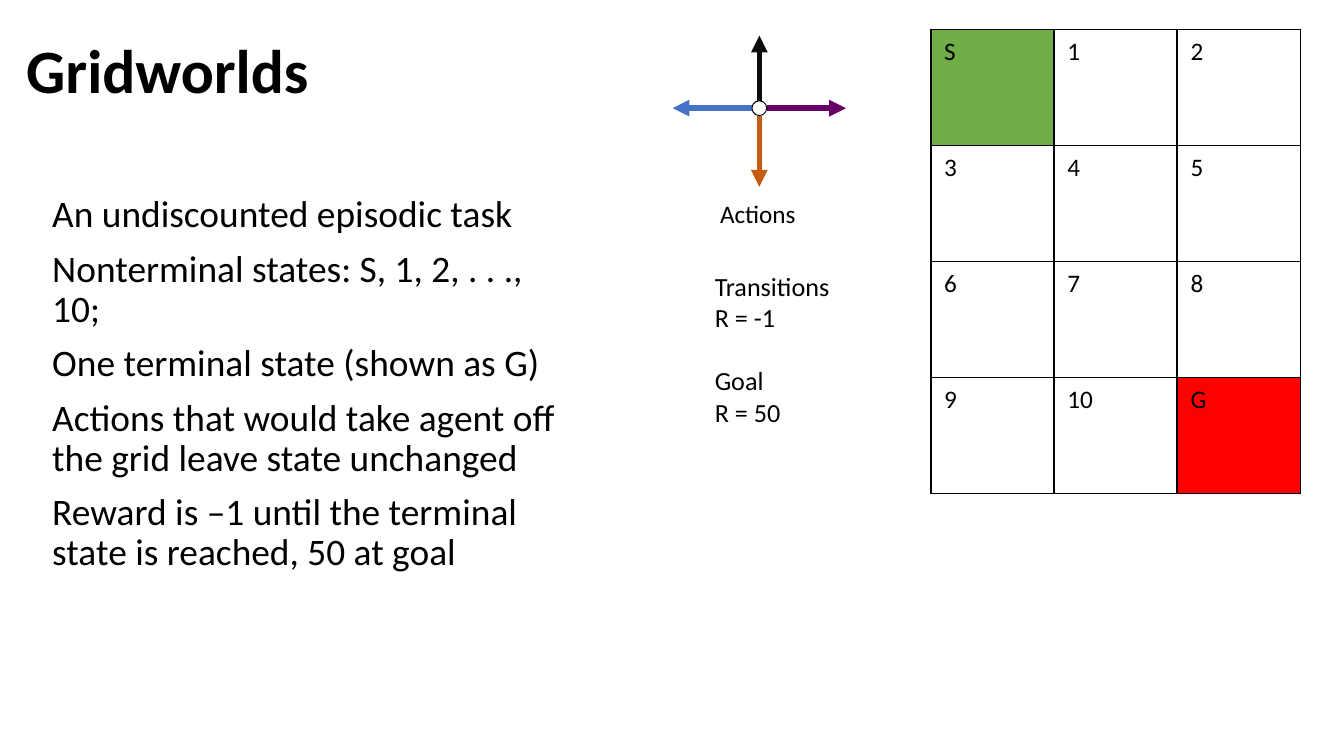
"""Build a slide on gridworlds: the task, its actions, its rewards and its states."""
import pptx
import pptx.dml.color
import pptx.enum.shapes
import pptx.enum.text
import pptx.oxml
import pptx.oxml.ns
import pptx.util

COLOURS = {
    "ink": "000000", "paper": "FFFFFF", "start": "70AD47", "goal": "FF0000",
    "left": "4472C4", "up": "0D0D0D", "right": "660066", "down": "C55A11",
}
FONT = "Calibri"

TITLE = ["Gridworlds"]
TASK = [
    "An undiscounted episodic task",
    "Nonterminal states: S, 1, 2, . . ., 10;",
    "One terminal state (shown as G)",
    "Actions that would take agent off the grid leave state unchanged",
    "Reward is –1 until the terminal state is reached, 50 at goal",
]
REWARDS = ["Transitions", "R = -1", "Goal", "R = 50"]
ACTIONS = ["Actions"]
STATES = [["S", "1", "2"], ["3", "4", "5"], ["6", "7", "8"], ["9", "10", "G"]]
STATE_FILLS = {"S": "start", "G": "goal"}
MOVES = [("left", -1, 0, 6.45), ("up", 0, -1, 5.4), ("right", 1, 0, 6.45), ("down", 0, 1, 5.85)]

WIDTH = pptx.util.Inches(10)
HEIGHT = WIDTH * 9 // 16
COLUMNS = 100
UNIT = WIDTH / COLUMNS
AGENT = (56.5, 8.05)
AGENT_RADIUS = 0.55
STATE_GRID = (69.25, 2.2)
STATE_SIZE = (9.17, 8.63)


def grid(*steps):
    return [round(step * UNIT) for step in steps]


def colour(name):
    return pptx.dml.color.RGBColor.from_string(COLOURS[name])


def write(frame, lines, size, bold=False, spacing=None, gap=0, gaps=None, wrap=True):
    frame.word_wrap = wrap
    frame.auto_size = pptx.enum.text.MSO_AUTO_SIZE.NONE
    for index, line in enumerate(lines):
        paragraph = frame.paragraphs[0] if index == 0 else frame.add_paragraph()
        paragraph.alignment = pptx.enum.text.PP_ALIGN.LEFT
        paragraph.line_spacing = spacing
        before = (gaps or {}).get(index, gap)
        paragraph.space_before = pptx.util.Pt(before if index else 0)
        run = paragraph.add_run()
        run.text = line
        run.font.name, run.font.size, run.font.bold = FONT, pptx.util.Pt(size), bold
        run.font.color.rgb = colour("ink")


def add_text(slide, place, lines, size, **style):
    write(slide.shapes.add_textbox(*grid(*place)).text_frame, lines, size, **style)


def add_title(slide):
    title = slide.shapes.title
    title.left, title.top, title.width, title.height = grid(0, 0, 86.2, 10.9)
    title.text_frame.margin_left = grid(1.95)[0]
    title.text_frame.vertical_anchor = pptx.enum.text.MSO_ANCHOR.MIDDLE
    write(title.text_frame, TITLE, 33, bold=True, spacing=0.9)


def add_border(cell):
    properties = cell._tc.get_or_add_tcPr()
    for position, side in enumerate(("lnL", "lnR", "lnT", "lnB")):
        properties.insert(position, pptx.oxml.parse_xml(
            f'<a:{side} {pptx.oxml.ns.nsdecls("a")} w="12700"><a:solidFill>'
            f'<a:srgbClr val="{COLOURS["ink"]}"/></a:solidFill></a:{side}>'))


def add_states(slide):
    rows, columns = len(STATES), len(STATES[0])
    size = (STATE_SIZE[0] * columns, STATE_SIZE[1] * rows)
    table = slide.shapes.add_table(rows, columns, *grid(*STATE_GRID, *size)).table
    table.first_row = table.horz_banding = False
    for column in table.columns:
        column.width = grid(STATE_SIZE[0])[0]
    for row, states in zip(table.rows, STATES):
        row.height = grid(STATE_SIZE[1])[0]
        for cell, state in zip(row.cells, states):
            cell.fill.solid()
            cell.fill.fore_color.rgb = colour(STATE_FILLS.get(state, "paper"))
            add_border(cell)
            write(cell.text_frame, [state], 13.5)


def add_moves(slide):
    x, y = AGENT
    for name, across, down, reach in MOVES:
        begin = (x + across * AGENT_RADIUS, y + down * AGENT_RADIUS)
        end = (x + across * reach, y + down * reach)
        arrow = slide.shapes.add_connector(
            pptx.enum.shapes.MSO_CONNECTOR.STRAIGHT, *grid(*begin, *end))
        arrow.line.color.rgb = colour(name)
        arrow.line.width = pptx.util.Pt(3)
        namespace = pptx.oxml.ns.nsdecls("a")
        arrow.line._get_or_add_ln().append(
            pptx.oxml.parse_xml(f'<a:tailEnd {namespace} type="triangle"/>'))
        arrow._element.spPr.append(pptx.oxml.parse_xml(f"<a:effectLst {namespace}/>"))

    corner = (x - AGENT_RADIUS, y - AGENT_RADIUS)
    agent = slide.shapes.add_shape(
        pptx.enum.shapes.MSO_SHAPE.OVAL,
        *grid(*corner, 2 * AGENT_RADIUS, 2 * AGENT_RADIUS))
    agent.shadow.inherit = False
    agent.fill.solid()
    agent.fill.fore_color.rgb = colour("paper")
    agent.line.color.rgb = colour("ink")
    agent.line.width = pptx.util.Pt(0.5)


def main():
    deck = pptx.Presentation()
    deck.slide_width, deck.slide_height = WIDTH, HEIGHT
    slide = deck.slides.add_slide(deck.slide_layouts.get_by_name("Title Only"))
    add_title(slide)
    add_states(slide)
    add_text(slide, (52.2, 19.6, 10.7, 12.8), REWARDS, 14, gaps={2: 17}, wrap=False)
    add_text(slide, (2.9, 14.05, 40.5, 33.6), TASK, 20, spacing=0.9, gap=7.5)
    add_moves(slide)
    add_text(slide, (52.6, 14.3, 7.7, 3.3), ACTIONS, 13.5, wrap=False)
    deck.save("out.pptx")


if __name__ == "__main__":
    main()
